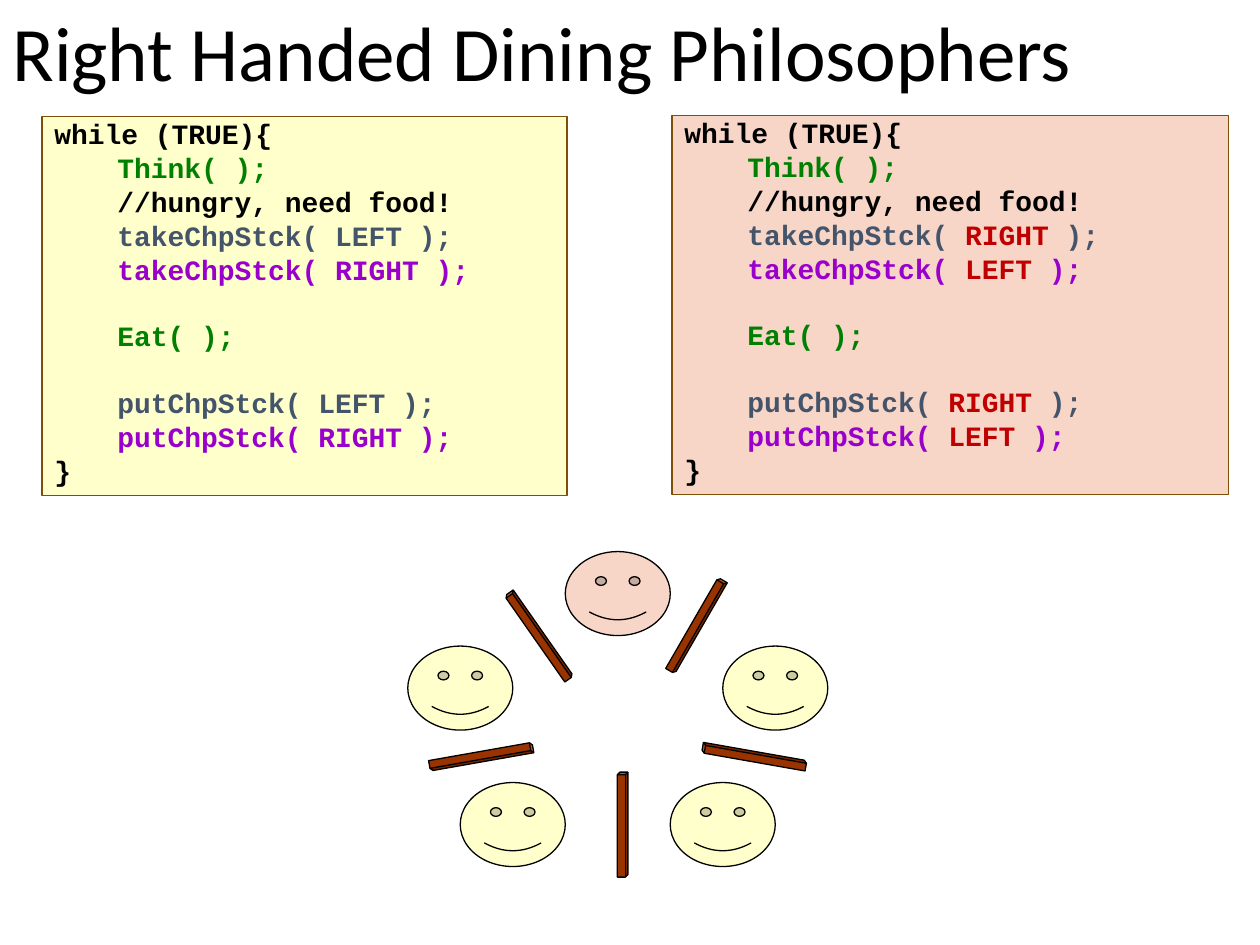
import pptx
import pptx.util
import pptx.dml.color
import pptx.enum.shapes
import pptx.enum.text
import pptx.oxml.ns
from lxml import etree

Pt = pptx.util.Pt
SHAPES = pptx.enum.shapes.MSO_SHAPE
COLORS = {
    "black": "000000",
    "green": "008000",
    "slate": "44546A",
    "purple": "9900CC",
    "red": "C00000",
    "yellow": "FFFFCC",
    "pink": "F8D6C7",
    "wood": "993300",
    "border": "7D4F07",
}
LINE_GAP = 4.1
BLANK_LINE = 18.6


def rgb(name):
    return pptx.dml.color.RGBColor.from_string(COLORS[name])


class DiningSlide:
    title_font = "Calibri"
    code_font = "Courier New"

    def __init__(self, slide):
        self.slide = slide

    def format_run(self, run, font, size, color, bold=False):
        run.font.name = font
        run.font.size = Pt(size)
        run.font.bold = bold
        run.font.color.rgb = rgb(color)

    def title(self, text, left, top, width, height):
        box = self.slide.shapes.add_textbox(Pt(left), Pt(top), Pt(width), Pt(height))
        frame = box.text_frame
        frame.word_wrap = True
        frame.vertical_anchor = pptx.enum.text.MSO_ANCHOR.MIDDLE
        frame.text = text
        paragraph = frame.paragraphs[0]
        paragraph.line_spacing = 0.9
        self.format_run(paragraph.runs[0], self.title_font, 44, "black")

    def shape(self, kind, left, top, width, height, fill, line="black", rotation=0):
        shape = self.slide.shapes.add_shape(kind, Pt(left), Pt(top), Pt(width), Pt(height))
        shape.shadow.inherit = False
        shape.rotation = rotation
        shape.fill.solid()
        shape.fill.fore_color.rgb = rgb(fill)
        shape.line.color.rgb = rgb(line)
        shape.line.width = Pt(0.75)
        return shape

    def add_tab_stop(self, paragraph, position):
        properties = paragraph._p.get_or_add_pPr()
        tabs = etree.SubElement(properties, pptx.oxml.ns.qn("a:tabLst"))
        etree.SubElement(tabs, pptx.oxml.ns.qn("a:tab"), pos=str(Pt(position)), algn="l")

    def code_box(self, lines, left, top, width, height, fill):
        frame = self.shape(SHAPES.RECTANGLE, left, top, width, height, fill, "border").text_frame
        frame.word_wrap = True
        frame.vertical_anchor = pptx.enum.text.MSO_ANCHOR.TOP
        for index, (blank_lines, pieces) in enumerate(lines):
            paragraph = frame.add_paragraph() if index else frame.paragraphs[0]
            paragraph.alignment = pptx.enum.text.PP_ALIGN.LEFT
            paragraph.line_spacing = 0.8
            paragraph.space_before = Pt(LINE_GAP + blank_lines * BLANK_LINE if index else 0)
            self.add_tab_stop(paragraph, 36)
            for text, color in pieces:
                run = paragraph.add_run()
                run.text = text
                self.format_run(run, self.code_font, 16, color, True)

    def philosopher(self, left, top, fill):
        self.shape(SHAPES.SMILEY_FACE, left, top, 60, 48, fill)

    def chopstick(self, left, top, rotation):
        self.shape(SHAPES.CUBE, left, top, 6, 60, "wood", rotation=rotation)


def call(function, side, color, side_color):
    pieces = [(f"\t{function}( ", color), (side, side_color or color), (" );", color)]
    if side_color:
        return pieces
    return [("".join(text for text, _ in pieces), color)]


def program(first, second, side_color=None):
    return [
        (0, [("while (TRUE){", "black")]),
        (0, [("\tThink( );", "green")]),
        (0, [("\t//hungry, need food!", "black")]),
        (0, call("takeChpStck", first, "slate", side_color)),
        (0, call("takeChpStck", second, "purple", side_color)),
        (1, [("\tEat( );", "green")]),
        (1, call("putChpStck", first, "slate", side_color)),
        (0, call("putChpStck", second, "purple", side_color)),
        (0, [("}", "black")]),
    ]


def main():
    presentation = pptx.Presentation()
    presentation.slide_width = Pt(720)
    presentation.slide_height = Pt(540)
    dining = DiningSlide(presentation.slides.add_slide(presentation.slide_layouts[6]))

    dining.title("Right Handed Dining Philosophers", 0, 0, 720, 64.8)
    dining.code_box(program("LEFT", "RIGHT"), 24, 66.5, 300, 216.5, "yellow")
    dining.code_box(program("RIGHT", "LEFT", "red"), 384, 66, 318, 216.5, "pink")

    middle = 323
    dining.philosopher(middle, 315.2, "pink")
    for offset, top in ((90, 369.2), (60, 447.2)):
        for side in (-1, 1):
            dining.philosopher(middle + side * offset, top, "yellow")

    for left, top, rotation in (
        (395, 327.5, 30),
        (352.8, 441.2, 0),
        (305, 333.4, 325),
        (272, 402.4, 80),
        (428, 402.4, 280),
    ):
        dining.chopstick(left, top, rotation)

    presentation.save("out.pptx")


if __name__ == "__main__":
    main()
